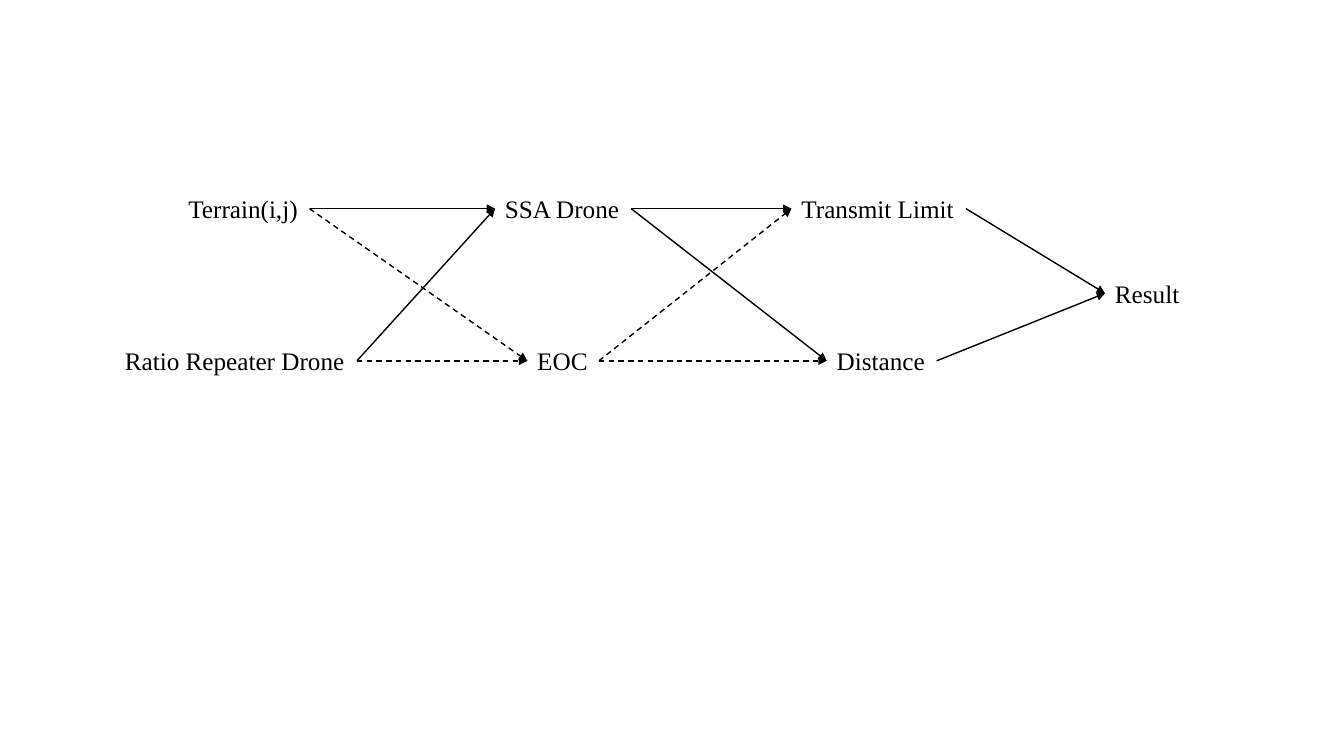
from lxml.etree import SubElement
from pptx import Presentation
from pptx.dml.color import RGBColor
from pptx.enum.dml import MSO_LINE
from pptx.enum.shapes import MSO_CONNECTOR
from pptx.enum.text import MSO_AUTO_SIZE
from pptx.oxml.ns import qn
from pptx.util import Inches, Pt

COLORS = {"ink": "000000"}
FONT = "Times New Roman"
LABEL_HEIGHT = 0.4
TOP_ROW, MIDDLE_ROW, BOTTOM_ROW = 0, 0.84, 1.51
LEFT_SITE, RIGHT_SITE = 1, 3

NODES = [
    ("Terrain(i,j)", 0.63, TOP_ROW, 1.3),
    ("Ratio Repeater Drone", 0, BOTTOM_ROW, 2.4),
    ("SSA Drone", 3.77, TOP_ROW, 1.35),
    ("EOC", 4.09, BOTTOM_ROW, 0.71),
    ("Transmit Limit", 6.71, TOP_ROW, 1.73),
    ("Distance", 7.06, BOTTOM_ROW, 1.09),
    ("Result", 9.82, MIDDLE_ROW, 0.85),
]
SOLID_LINKS = [
    ("Terrain(i,j)", "SSA Drone"),
    ("Ratio Repeater Drone", "SSA Drone"),
    ("SSA Drone", "Distance"),
    ("SSA Drone", "Transmit Limit"),
    ("Transmit Limit", "Result"),
    ("Distance", "Result"),
]
DASHED_LINKS = [
    ("Terrain(i,j)", "EOC"),
    ("Ratio Repeater Drone", "EOC"),
    ("EOC", "Transmit Limit"),
    ("EOC", "Distance"),
]


def add_label(s, text, left, top, width):
    """Add one node label and return its text box."""
    sp = s.shapes.add_textbox(Inches(left), Inches(top), Inches(width), Inches(LABEL_HEIGHT))
    tf = sp.text_frame
    tf.word_wrap = False
    tf.auto_size = MSO_AUTO_SIZE.SHAPE_TO_FIT_TEXT
    r = tf.paragraphs[0].add_run()
    r.text = text
    r.font.name = FONT
    r.font.size = Pt(18)
    r.font.color.rgb = RGBColor.from_string(COLORS["ink"])
    return sp


def add_arrow(s, source, target, dashed):
    """Join the right side of source to the left side of target."""
    cxn = s.shapes.add_connector(MSO_CONNECTOR.STRAIGHT, 0, 0, 0, 0)
    cxn.begin_connect(source, RIGHT_SITE)
    cxn.end_connect(target, LEFT_SITE)
    cxn.line.width = Pt(1)
    cxn.line.color.rgb = RGBColor.from_string(COLORS["ink"])
    if dashed:
        cxn.line.dash_style = MSO_LINE.DASH
    spPr = cxn._element.spPr
    SubElement(spPr.find(qn("a:ln")), qn("a:tailEnd"), type="triangle")
    SubElement(spPr, qn("a:effectLst"))


def add_network(s, left, top):
    """Place the labelled nodes and their arrows from the given corner."""
    labels = {
        text: add_label(s, text, left + x, top + y, width)
        for text, x, y, width in NODES
    }
    for links, dashed in ((SOLID_LINKS, False), (DASHED_LINKS, True)):
        for source, target in links:
            add_arrow(s, labels[source], labels[target], dashed)


def main():
    """Build and save the slide."""
    prs = Presentation()
    prs.slide_width, prs.slide_height = Inches(13.33), Inches(7.5)
    s = prs.slides.add_slide(prs.slide_layouts[6])
    add_network(s, 1.14, 1.87)
    prs.save("out.pptx")


if __name__ == "__main__":
    main()
